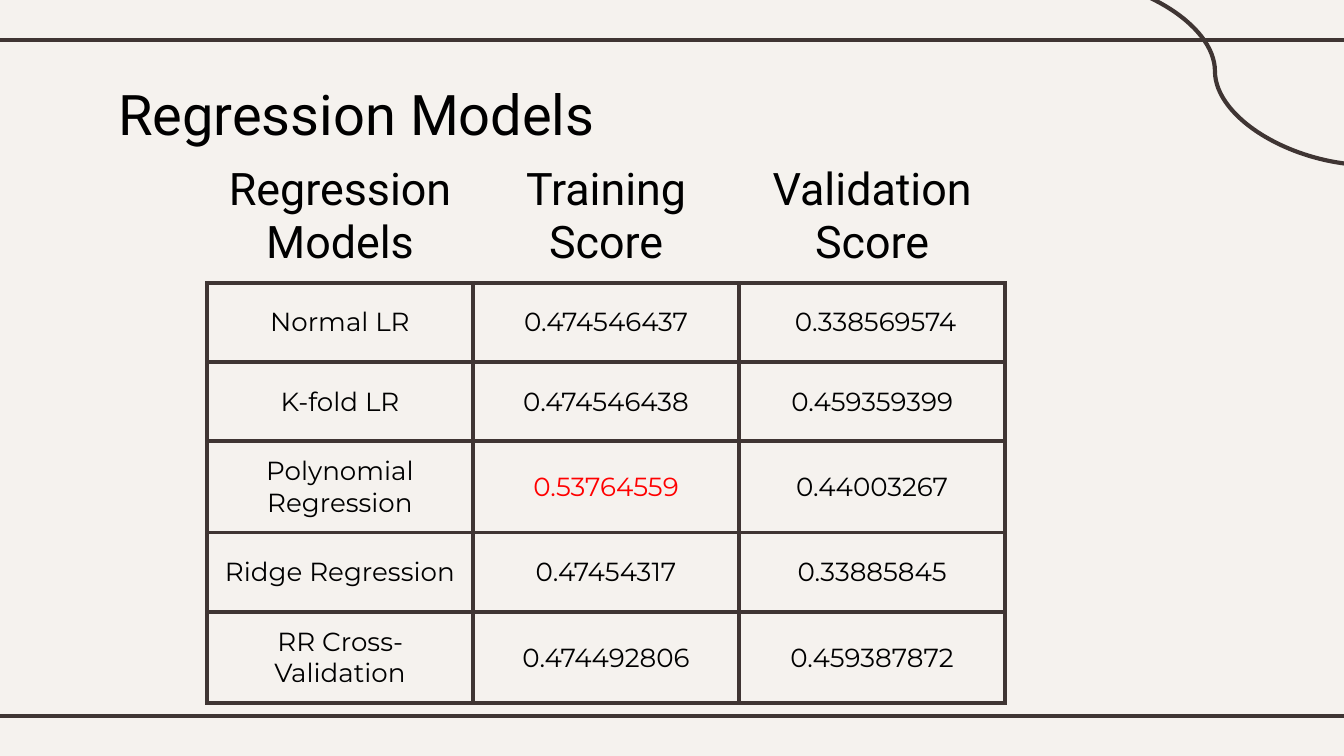
from lxml.etree import SubElement
from pptx import Presentation
from pptx.dml.color import RGBColor
from pptx.enum.shapes import MSO_CONNECTOR as Connector
from pptx.enum.text import MSO_ANCHOR as Anchor, PP_ALIGN as Align
from pptx.oxml.ns import qn
from pptx.util import Inches, Pt

WIDTH = 10
HEIGHT = WIDTH * 9 / 16
BACKGROUND = RGBColor(0xF5, 0xF2, 0xEE)
BROWN = RGBColor(0x3F, 0x35, 0x33)
BLACK = RGBColor(0, 0, 0)
RED = RGBColor(0xFF, 0, 0)
LINE_WIDTH = Pt(2.25)

TITLE_FONT = {"name": "Roboto", "size": Pt(30), "bold": False}
HEADER_FONT = {"name": "Roboto", "size": Pt(24), "bold": False}
BODY_FONT = {"name": "Montserrat", "size": Pt(14), "bold": False}
MARGINS = ("margin_left", "margin_right", "margin_top", "margin_bottom")

# The first column is an empty, borderless spacer
COLUMN_WIDTH = 1.98
ROW_HEIGHTS = (0.98, 0.59, 0.59, 0.68, 0.59, 0.68)
SCORES = (
    ("", "Regression Models", "Training Score", "Validation Score"),
    ("", "Normal LR", "0.474546437", " 0.338569574"),
    ("", "K-fold LR", "0.474546438", "0.459359399"),
    ("", "Polynomial Regression", "0.53764559", "0.44003267"),
    ("", "Ridge Regression", "0.47454317", "0.33885845"),
    ("", "RR Cross-Validation", "0.474492806", "0.459387872"),
)
BEST_SCORE = "0.53764559"


def format_font(font, values, color=BLACK):
    for name, value in values.items():
        setattr(font, name, value)
    font.color.rgb = color


def set_margins(target):
    for margin in MARGINS:
        setattr(target, margin, Inches(0.1))


def add_line(slide, kind, *ends):
    line = slide.shapes.add_connector(kind, *map(Inches, ends))
    line.line.color.rgb = BROWN
    line.line.width = LINE_WIDTH
    SubElement(line.element.spPr, qn("a:effectLst"))


def add_title(slide, text):
    title = slide.shapes.title
    title.left, title.top = Inches(0.78), Inches(0.49)
    title.width, title.height = Inches(8.44), Inches(0.63)
    frame = title.text_frame
    set_margins(frame)
    frame.vertical_anchor = Anchor.TOP
    paragraph = frame.paragraphs[0]
    paragraph.alignment = Align.LEFT
    run = paragraph.add_run()
    run.text = text
    format_font(run.font, TITLE_FONT)


def set_borders(cell, visible):
    properties = cell._tc.get_or_add_tcPr()
    for side in "LRTB":
        border = SubElement(properties, qn(f"a:ln{side}"), w=str(LINE_WIDTH))
        if side in visible:
            fill = SubElement(border, qn("a:solidFill"))
            SubElement(fill, qn("a:srgbClr"), val=str(BROWN))
        else:
            SubElement(border, qn("a:noFill"))


def visible_sides(row, column):
    if row == 0:
        return "B" if column else ""
    return "LRTB" if column else "R"


def fill_cell(cell, text, row, column):
    set_borders(cell, visible_sides(row, column))
    cell.fill.background()
    set_margins(cell)
    cell.vertical_anchor = Anchor.MIDDLE if row else Anchor.TOP
    if text:
        paragraph = cell.text_frame.paragraphs[0]
        paragraph.alignment = Align.CENTER
        run = paragraph.add_run()
        run.text = text
        color = RED if text == BEST_SCORE else BLACK
        format_font(run.font, BODY_FONT if row else HEADER_FONT, color)


def add_score_table(slide):
    columns = len(SCORES[0])
    frame = slide.shapes.add_table(
        len(SCORES), columns, Inches(-0.44), Inches(1.12),
        Inches(columns * COLUMN_WIDTH), Inches(sum(ROW_HEIGHTS)))
    table = frame.table
    table.first_row = table.horz_banding = False
    for row, values in enumerate(SCORES):
        table.rows[row].height = Inches(ROW_HEIGHTS[row])
        for column, text in enumerate(values):
            fill_cell(table.cell(row, column), text, row, column)


def main():
    presentation = Presentation()
    presentation.slide_width = Inches(WIDTH)
    presentation.slide_height = Inches(HEIGHT)
    slide = presentation.slides.add_slide(presentation.slide_layouts[5])
    slide.background.fill.solid()
    slide.background.fill.fore_color.rgb = BACKGROUND

    # Frame lines and corner curve
    for y in (0.3, 5.33):
        add_line(slide, Connector.STRAIGHT, -0.08, y, WIDTH + 0.08, y)
    add_line(slide, Connector.CURVE, 7.88, -0.17, 10.2, 1.23)

    # Content
    add_title(slide, "Regression Models")
    add_score_table(slide)
    presentation.save("out.pptx")


if __name__ == "__main__":
    main()
